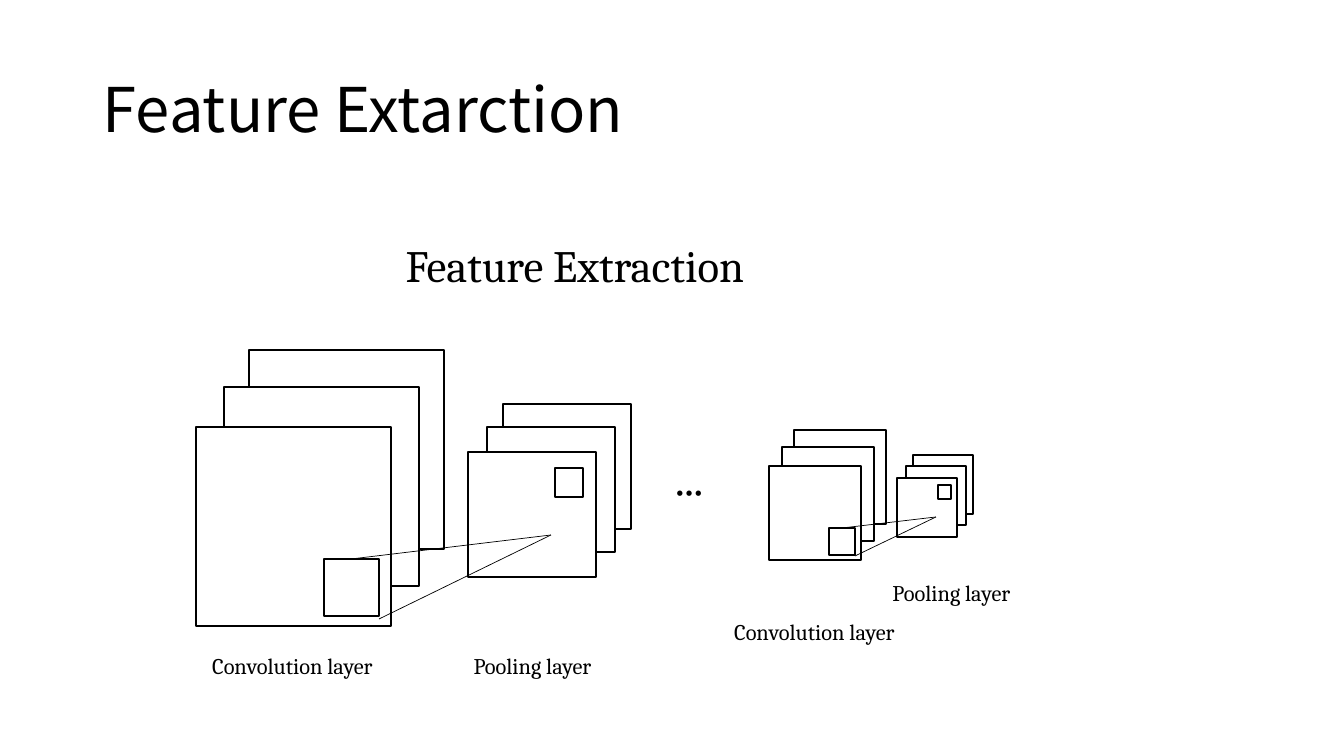
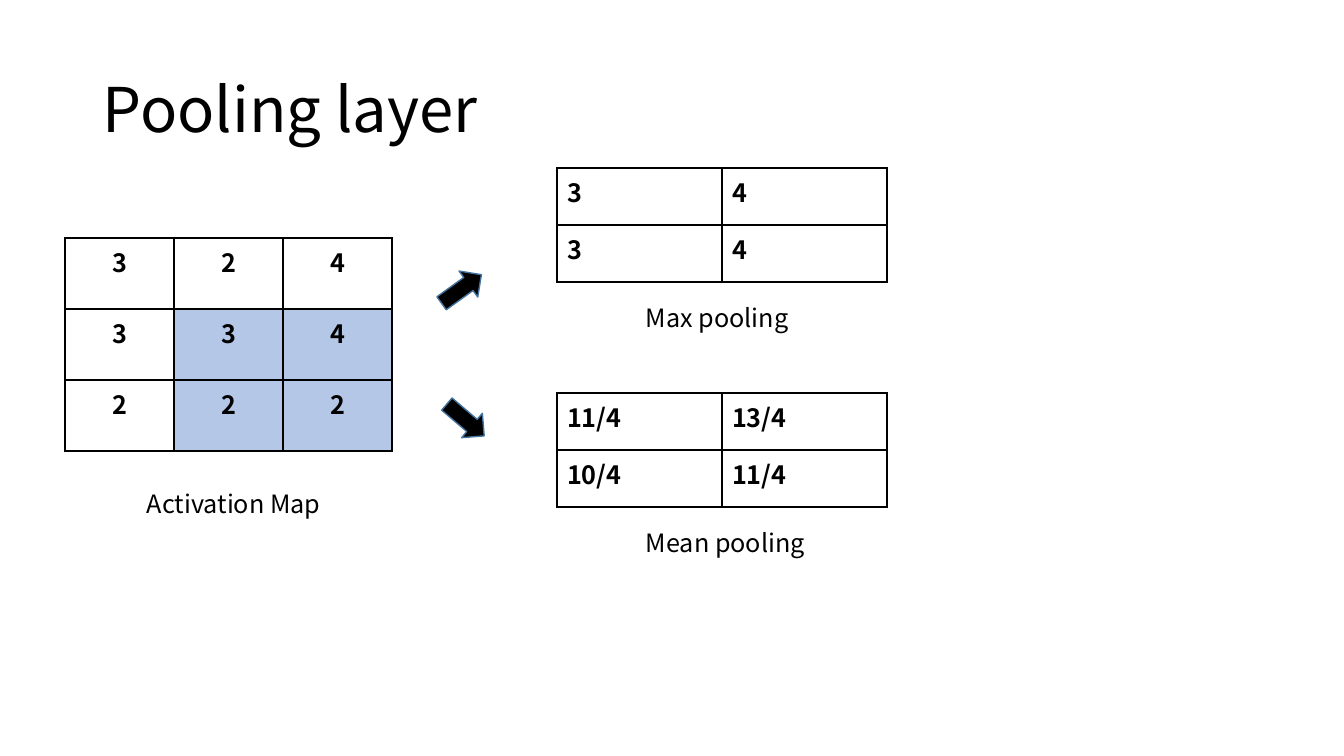
"""Build two slides on feature extraction and pooling in a convolutional network."""
from lxml.etree import SubElement
from pptx import Presentation
from pptx.dml.color import RGBColor
from pptx.enum.shapes import MSO_CONNECTOR, MSO_SHAPE
from pptx.enum.text import MSO_ANCHOR, PP_ALIGN
from pptx.oxml import parse_xml
from pptx.oxml.ns import nsdecls, qn
from pptx.util import Pt

PX = 9071
BLACK = RGBColor(0x00, 0x00, 0x00)
WHITE = RGBColor(0xFF, 0xFF, 0xFF)
POOLED_BLUE = RGBColor(0xB4, 0xC7, 0xE7)
ARROW_EDGE = RGBColor(0x43, 0x73, 0x9E)
SANS = "Noto Sans CJK KR"
SERIF = "Cambria"
LEFT, CENTER = PP_ALIGN.LEFT, PP_ALIGN.CENTER


def write(frame, text, size, font, align=LEFT, bold=False):
    paragraph = frame.paragraphs[0]
    paragraph.alignment = align
    run = paragraph.add_run()
    run.text = text
    run.font.size = Pt(size)
    run.font.name = font
    run.font.bold = bold
    run.font.color.rgb = BLACK
    return run


def draw(slide, preset, box, fill, edge):
    shape = slide.shapes.add_shape(preset, *(round(v) * PX for v in box))
    shape.shadow.inherit = False
    shape.fill.solid()
    shape.fill.fore_color.rgb = fill
    shape.line.color.rgb = edge
    shape.line.width = Pt(1)
    return shape


deck = Presentation()
deck.slide_width, deck.slide_height = 1344 * PX, 756 * PX

slides = []
for heading in ["Feature Extarction", "Pooling layer"]:
    slide = deck.slides.add_slide(deck.slide_layouts[6])
    title = slide.shapes.add_textbox(93 * PX, 40 * PX, 1159 * PX, 146 * PX).text_frame
    title.word_wrap = True
    title.vertical_anchor = MSO_ANCHOR.MIDDLE
    write(title, heading, 44, SANS)
    title.paragraphs[0].line_spacing = 0.9
    slides.append(slide)
extraction, pooling = slides

# Offsets within a stage are measured from the front convolution map
STAGES = [(196, 427, 1), (769, 466, 0.47)]
SQUARES = [
    (53, -77, 195, 199), (28, -40, 195, 199), (0, 0, 195, 199),
    (307, -23, 128, 125), (291, 0, 128, 125), (272, 25, 128, 125),
    (128, 132, 55, 57), (359, 41, 28, 29),
]
WINDOW_CORNERS = [(155, 132), (183, 192)]
TIP_X, TIP_Y = 355, 108
for left, top, scale in STAGES:
    for x, y, width, height in SQUARES:
        box = (left + x * scale, top + y * scale, width * scale, height * scale)
        draw(extraction, MSO_SHAPE.RECTANGLE, box, WHITE, BLACK)
    for x, y in WINDOW_CORNERS:
        ends = (left + x * scale, top + y * scale, left + TIP_X * scale, top + TIP_Y * scale)
        ray = extraction.shapes.add_connector(
            MSO_CONNECTOR.STRAIGHT, *(round(v) * PX for v in ends))
        ray.line.color.rgb = BLACK
        ray.line.width = Pt(0.5)
        SubElement(ray._element.spPr, qn("a:effectLst"))

CAPTIONS = [
    (extraction, (276, 233, 598, 67), "Feature Extraction", 32, SERIF, CENTER),
    (extraction, (123, 647, 339, 39), "Convolution layer", 16, SERIF, CENTER),
    (extraction, (363, 647, 339, 39), "Pooling layer", 16, SERIF, CENTER),
    (extraction, (645, 613, 339, 39), "Convolution layer", 16, SERIF, CENTER),
    (extraction, (782, 574, 339, 39), "Pooling layer", 16, SERIF, CENTER),
    (pooling, (137, 483, 195, 40), "Activation Map", 18, SANS, LEFT),
    (pooling, (636, 297, 165, 40), "Max pooling", 18, SANS, LEFT),
    (pooling, (636, 522, 182, 40), "Mean pooling", 18, SANS, LEFT),
]
for slide, box, text, size, font, align in CAPTIONS:
    caption = slide.shapes.add_textbox(*(v * PX for v in box)).text_frame
    caption.word_wrap = True
    write(caption, text, size, font, align)

ellipsis = extraction.shapes.add_textbox(667 * PX, 484 * PX, 312 * PX, 54 * PX).text_frame
ellipsis.word_wrap = True
dots = write(ellipsis, "● ● ●", 5, SERIF)
dots.font._element.set("spc", "55")

GRIDS = [
    (65, 238, 109, 71, CENTER, ["3 2 4", "3 3 4", "2 2 2"]),
    (557, 168, 165, 57, LEFT, ["3 4", "3 4"]),
    (557, 393, 165, 57, LEFT, ["11/4 13/4", "10/4 11/4"]),
]
for left, top, cell_width, cell_height, align, lines in GRIDS:
    rows = [line.split() for line in lines]
    count = len(rows)
    grid = pooling.shapes.add_table(
        count, count, left * PX, top * PX,
        count * cell_width * PX, count * cell_height * PX).table
    grid.first_row = grid.horz_banding = False
    for r, row in enumerate(rows):
        for c, value in enumerate(row):
            cell = grid.cell(r, c)
            for side in "LRTB":
                cell._tc.get_or_add_tcPr().append(parse_xml(
                    f'<a:ln{side} {nsdecls("a")} w="12700"><a:solidFill>'
                    f'<a:srgbClr val="{BLACK}"/></a:solidFill></a:ln{side}>'))
            cell.fill.solid()
            in_window = count == 3 and r > 0 and c > 0
            cell.fill.fore_color.rgb = POOLED_BLUE if in_window else WHITE
            write(cell.text_frame, value, 18, SANS, align, bold=True)

for left, top, angle in [(437, 273, 324.3), (441, 404, 40.4)]:
    arrow = draw(pooling, MSO_SHAPE.RIGHT_ARROW, (left, top, 49, 32), BLACK, ARROW_EDGE)
    arrow.rotation = angle

deck.save("out.pptx")
